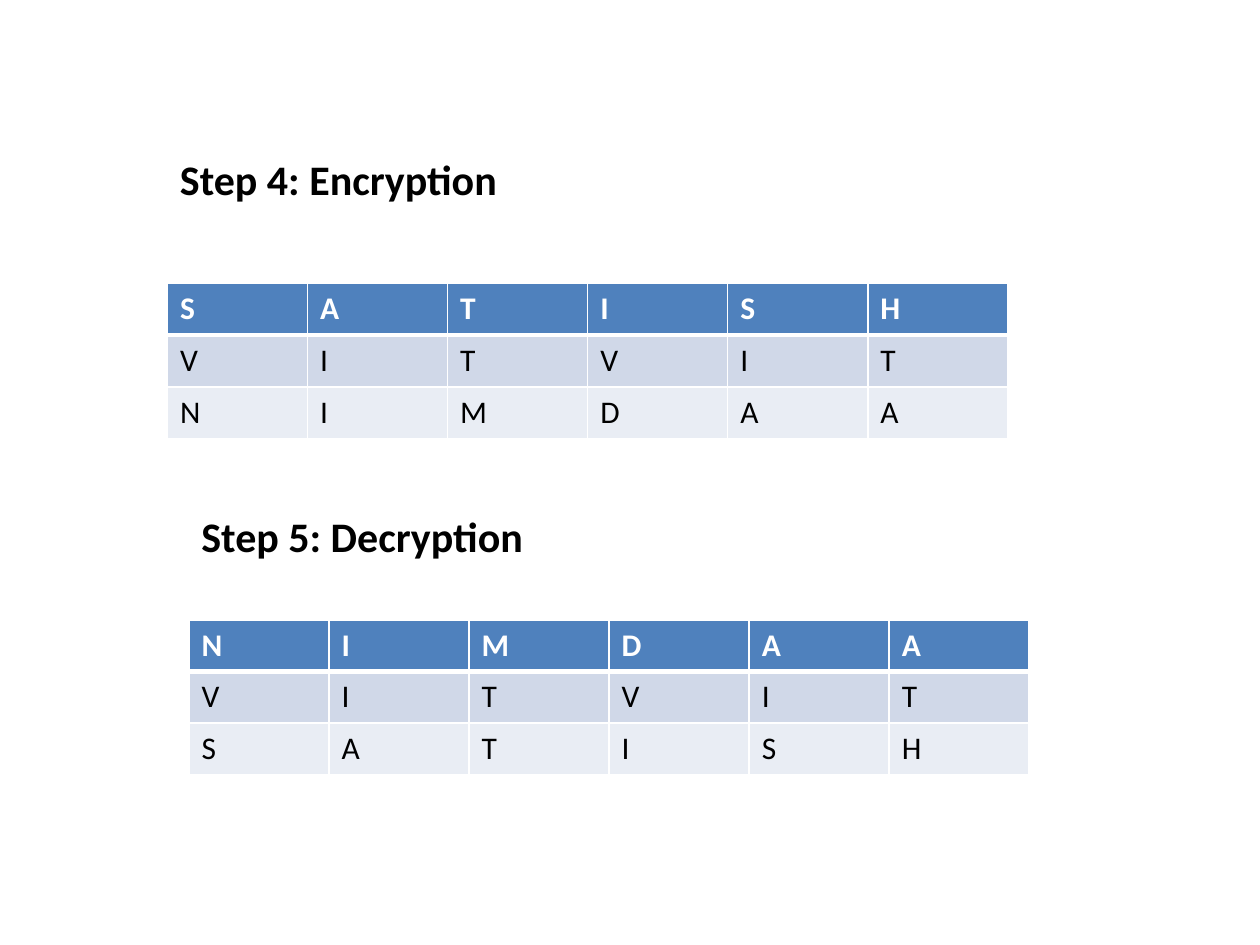
import pptx
import pptx.dml.color
import pptx.enum.text
import pptx.util
import lxml.etree
import pptx.oxml.ns

Inches = pptx.util.Inches
Pt = pptx.util.Pt
RGBColor = pptx.dml.color.RGBColor

FONT = "Calibri"
WHITE = RGBColor(0xFF, 0xFF, 0xFF)
BLACK = RGBColor(0x00, 0x00, 0x00)
HEADER_BLUE = RGBColor(0x4F, 0x81, 0xBD)
BAND_DARK = RGBColor(0xD0, 0xD8, 0xE8)
BAND_LIGHT = RGBColor(0xE9, 0xED, 0xF4)
ROW_FILLS = [HEADER_BLUE, BAND_DARK, BAND_LIGHT]

TABLE_WIDTH = Inches(6.67)
ROW_HEIGHT = Inches(0.41)
THIN, THICK = Pt(1), Pt(3)


def format_font(para, size, color, bold):
    for span in para.runs:
        span.font.name = FONT
        span.font.size = Pt(size)
        span.font.bold = bold
        span.font.color.rgb = color


def add_heading(slide, text, left, top, width):
    box = slide.shapes.add_textbox(
        Inches(left), Inches(top), Inches(width), Inches(0.5))
    frame = box.text_frame
    frame.word_wrap = False
    frame.auto_size = pptx.enum.text.MSO_AUTO_SIZE.SHAPE_TO_FIT_TEXT
    frame.text = text
    format_font(frame.paragraphs[0], 24, BLACK, True)


def set_borders(cell, top, bottom):
    """Draw white cell borders; call before filling, as the XML order requires."""
    properties = cell._tc.get_or_add_tcPr()
    widths = {"a:lnL": THIN, "a:lnR": THIN, "a:lnT": top, "a:lnB": bottom}
    for tag, width in widths.items():
        line = lxml.etree.SubElement(
            properties, pptx.oxml.ns.qn(tag), w=str(int(width)))
        fill = lxml.etree.SubElement(line, pptx.oxml.ns.qn("a:solidFill"))
        lxml.etree.SubElement(
            fill, pptx.oxml.ns.qn("a:srgbClr"), val=str(WHITE))


def add_letter_table(slide, rows, left, top):
    """Lay out equal-length strings as rows with one letter in each cell."""
    table = slide.shapes.add_table(
        len(rows), len(rows[0]), Inches(left), Inches(top),
        TABLE_WIDTH, ROW_HEIGHT * len(rows)).table
    for row_index, letters in enumerate(rows):
        is_header = row_index == 0
        for column_index, letter in enumerate(letters):
            cell = table.cell(row_index, column_index)
            set_borders(cell,
                        top=THICK if row_index == 1 else THIN,
                        bottom=THICK if is_header else THIN)
            cell.fill.solid()
            cell.fill.fore_color.rgb = ROW_FILLS[row_index]
            cell.text_frame.text = letter
            format_font(cell.text_frame.paragraphs[0], 18,
                        WHITE if is_header else BLACK, is_header)


def main():
    deck = pptx.Presentation()
    deck.slide_width = Inches(10)
    deck.slide_height = Inches(7.5)
    slide = deck.slides.add_slide(deck.slide_layouts[6])

    key, plain, cipher = "VITVIT", "SATISH", "NIMDAA"
    add_letter_table(slide, [plain, key, cipher], 1.33, 2.25)
    add_heading(slide, "Step 4: Encryption", 1.33, 1.17, 2.75)
    add_heading(slide, "Step 5: Decryption", 1.5, 4, 2.78)
    add_letter_table(slide, [cipher, key, plain], 1.5, 4.92)

    deck.save("out.pptx")


if __name__ == "__main__":
    main()
